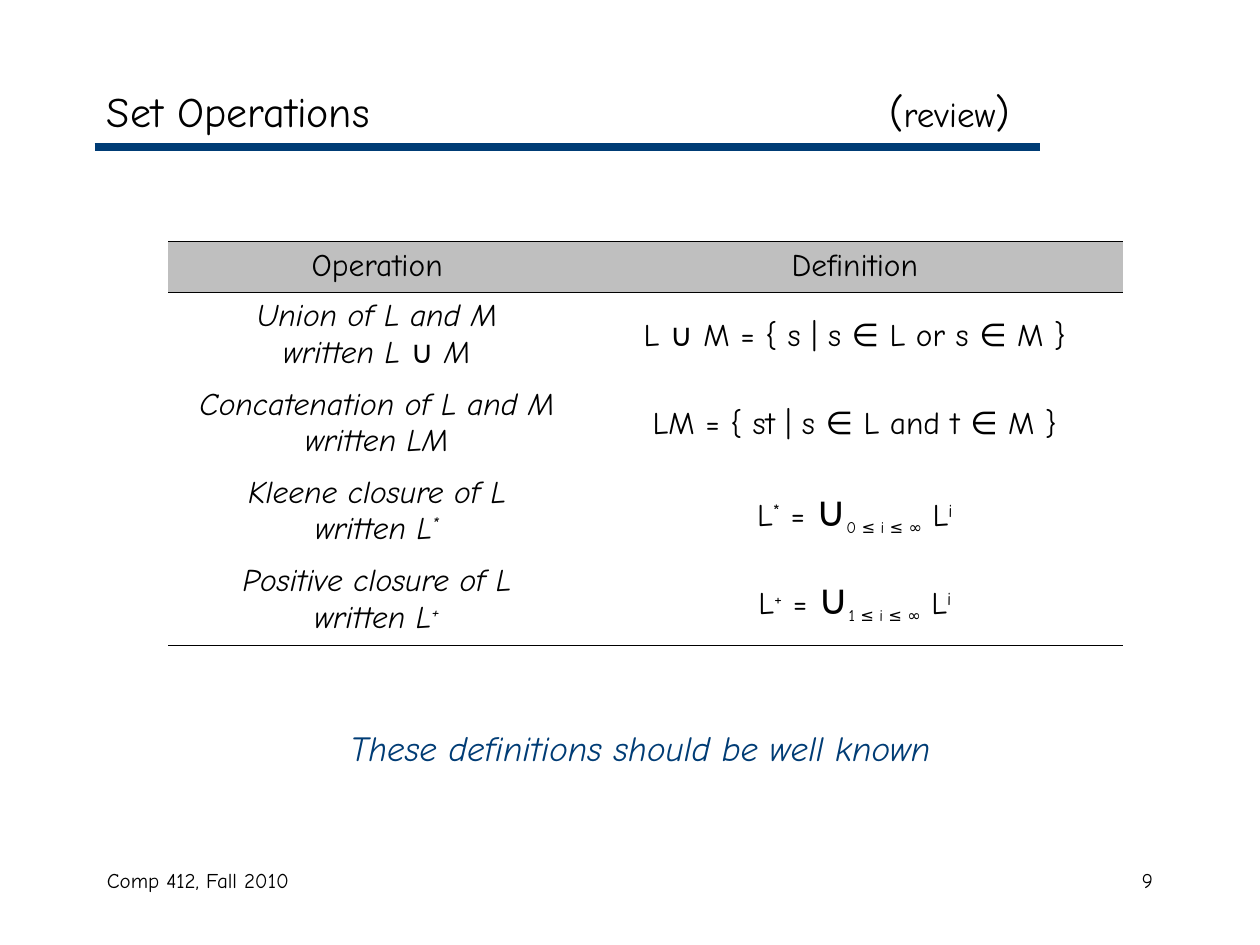
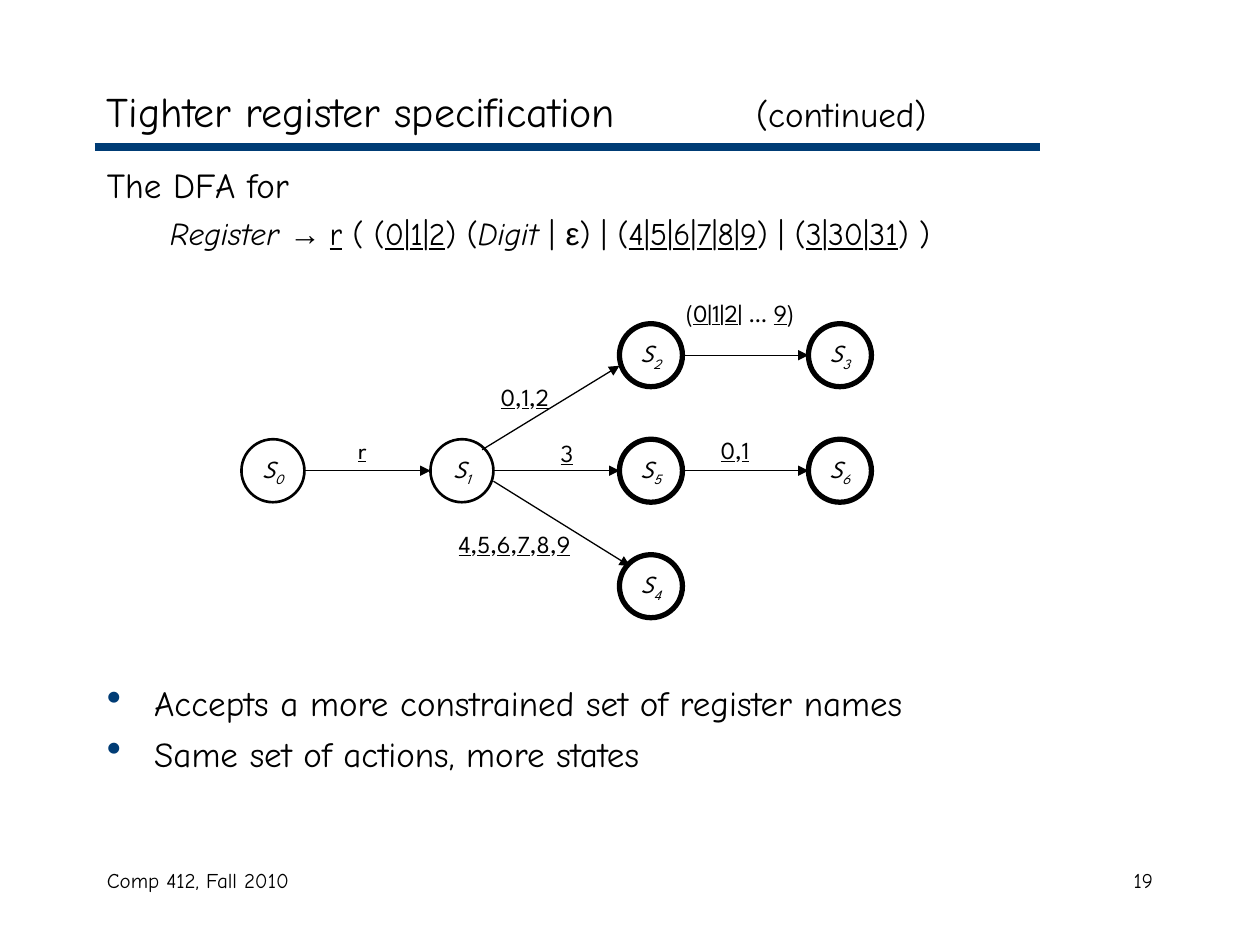
from itertools import groupby

from lxml import etree
from pptx import Presentation
from pptx.dml.color import RGBColor
from pptx.enum import shapes, text
from pptx.oxml import ns
from pptx.util import Pt

FONT, LABEL_FONT, SYMBOL_FONT = "Comic Neue", "League Spartan", "Arial"
BLACK, BLUE, GREY, WHITE = "000000", "003C75", "BFBFBF", "FFFFFF"
LEFT, CENTER, RIGHT = text.PP_ALIGN.LEFT, text.PP_ALIGN.CENTER, text.PP_ALIGN.RIGHT
TOP, MIDDLE = text.MSO_ANCHOR.TOP, text.MSO_ANCHOR.MIDDLE
FOOTER = "Comp 412, Fall 2010"


def rgb(hex_color):
    return RGBColor.from_string(hex_color)


def sub(parent, tag, **attrs):
    """Append a DrawingML element."""
    el = etree.SubElement(parent, ns.qn("a:" + tag))
    for key, value in attrs.items():
        el.set(key, str(value))
    return el


def add_runs(p, runs, **defaults):
    """Add runs given as (text, style changes) or as plain strings."""
    for item in runs:
        words, changes = (item, {}) if isinstance(item, str) else item
        style = {"font": FONT, "size": 18, "color": BLACK, **defaults, **changes}
        r = p.add_run()
        r.text = words
        r.font.name = style["font"]
        r.font.size = Pt(style["size"])
        r.font.color.rgb = rgb(style["color"])
        r.font.italic = style.get("italic", False)
        r.font.underline = style.get("underline", False)
        if "base" in style:
            r.font._element.set("baseline", str(style["base"] * 1000))


def underlined(expression):
    """Split an expression so that its letters and digits are underlined."""
    return [("".join(chars), {"underline": symbol})
            for symbol, chars in groupby(expression, str.isalnum)]


def add_text(slide, box, runs, align=LEFT, anchor=TOP, **style):
    sp = slide.shapes.add_textbox(*map(Pt, box))
    tf = sp.text_frame
    tf.word_wrap = True
    tf.vertical_anchor = anchor
    p = tf.paragraphs[0]
    p.alignment = align
    add_runs(p, runs, **style)
    return tf


def add_line(slide, start, end, color, width, arrow=False):
    line = slide.shapes.add_connector(
        shapes.MSO_CONNECTOR.STRAIGHT, *map(Pt, (*start, *end)))
    line.line.color.rgb = rgb(color)
    line.line.width = Pt(width)
    if arrow:
        sub(line.line._get_or_add_ln(), "tailEnd", type="triangle")
    sub(line._element.spPr, "effectLst")


def add_frame(prs, number, title, remark, remark_tab):
    """Start a slide with its title, rule and footer."""
    slide = prs.slides.add_slide(prs.slide_layouts[6])
    add_line(slide, (54, 84), (594, 84), BLUE, 4.5)
    add_text(slide, (54, 492, 294, 36), [FOOTER], size=12)
    add_text(slide, (516, 492, 150, 36), [str(number)], RIGHT, size=12)
    tf = add_text(slide, (54, 42, 612, 42), [title + "\t", *remark],
                  anchor=MIDDLE, size=24)
    tabs = sub(tf.paragraphs[0]._p.get_or_add_pPr(), "tabLst")
    sub(tabs, "tab", pos=Pt(remark_tab), algn="l")
    return slide


def closure(sign, first):
    """Runs defining a closure as the union of powers from first upwards."""
    return ["L", (sign, {"base": 30}), " = ", ("∪", {"size": 24}),
            (f"{first} ≤ i ≤ ∞", {"size": 16, "base": -25}),
            " L", ("i", {"base": 30})]


OPERATIONS = [
    ("Union of L and M", ["written L ∪ M"], ["L ∪ M = { s | s ∈ L or s ∈ M }"]),
    ("Concatenation of L and M", ["written LM"], ["LM = { st | s ∈ L and t ∈ M }"]),
    ("Kleene closure of L", ["written L", ("*", {"base": 30})], closure("*", 0)),
    ("Positive closure of L", ["written L", ("+", {"base": 30})], closure("+", 1)),
]


def fill_cell(cell, lines, fill=WHITE, top=0, bottom=0, anchor=TOP, italic=False):
    """Write centred lines; top and bottom are border widths, 0 for none."""
    tcPr = cell._tc.get_or_add_tcPr()
    for side, width in (("L", 0), ("R", 0), ("T", top), ("B", bottom)):
        ln = sub(tcPr, "ln" + side, w=Pt(width))
        if width:
            sub(sub(ln, "solidFill"), "srgbClr", val=BLACK)
        else:
            sub(ln, "noFill")
    cell.fill.solid()
    cell.fill.fore_color.rgb = rgb(fill)
    cell.vertical_anchor = anchor
    tf = cell.text_frame
    for i, runs in enumerate(lines):
        p = tf.add_paragraph() if i else tf.paragraphs[0]
        p.alignment = CENTER
        add_runs(p, runs, italic=italic)


def add_operations_table(slide, box):
    left, top, width, height = box
    head_height, name_width = 29, 239
    row_height = (height - head_height) / len(OPERATIONS)
    table = slide.shapes.add_table(
        len(OPERATIONS) + 1, 2, *map(Pt, box)).table
    table.first_row = table.horz_banding = False
    table.columns[0].width = Pt(name_width)
    table.columns[1].width = Pt(width - name_width)
    table.rows[0].height = Pt(head_height)
    for col, heading in enumerate(("Operation", "Definition")):
        fill_cell(table.cell(0, col), [[heading]], GREY, top=0.75, bottom=0.45)
    for row, (name, notation, definition) in enumerate(OPERATIONS, 1):
        table.rows[row].height = Pt(row_height)
        edges = {"top": 0.45 if row == 1 else 0,
                 "bottom": 0.75 if row == len(OPERATIONS) else 0}
        fill_cell(table.cell(row, 0), [[name], notation], italic=True, **edges)
        fill_cell(table.cell(row, 1), [definition], anchor=MIDDLE, **edges)


def build_set_operations(prs):
    slide = add_frame(prs, 9, "Set Operations",
                      ["(", ("review", {"size": 20}), ")"], 447)
    add_operations_table(slide, (96, 138, 546, 231))
    add_text(slide, (60, 409, 612, 36), ["These definitions should be well known"],
             CENTER, MIDDLE, size=20, italic=True, color=BLUE)


DIAMETER, COLUMN_STEP, ROW_STEP, FIRST_ROW = 36, 108, 66, 18
RADIUS = DIAMETER / 2
# state: (column, row, accepting)
STATES = {0: (0, 1, False), 1: (1, 1, False), 2: (2, 0, True), 3: (3, 0, True),
          4: (2, 2, True), 5: (2, 1, True), 6: (3, 1, True)}
# from, to, offsets of both ends from the state centres
EAST, WEST = (RADIUS, 0), (-RADIUS, 0)
TRANSITIONS = [(0, 1, EAST, WEST), (1, 5, EAST, WEST), (5, 6, EAST, WEST),
               (2, 3, EAST, WEST), (1, 2, (11.5, -12), (-18, 6)),
               (1, 4, (18, 6), (-12, -11.5))]
# left, top, width, symbols
LABELS = [(57, 78, 24, "r"), (132, 48, 60, "0,1,2"), (174, 80, 24, "3"),
          (252, 78, 60, "0,1"), (102, 132, 108, "4,5,6,7,8,9"),
          (234, 0, 102, "(0|1|2| … 9)")]


def add_state(slide, number, center, accepting):
    x, y = center
    sp = slide.shapes.add_shape(shapes.MSO_SHAPE.OVAL, Pt(x - RADIUS),
                                Pt(y - RADIUS), Pt(DIAMETER), Pt(DIAMETER))
    sp.shadow.inherit = False
    sp.fill.background()
    sp.line.color.rgb = rgb(BLACK)
    sp.line.width = Pt(3 if accepting else 1.5)
    tf = sp.text_frame
    tf.word_wrap = False
    tf.vertical_anchor = MIDDLE
    p = tf.paragraphs[0]
    p.alignment = CENTER
    add_runs(p, ["S", (str(number), {"base": -25})],
             font=LABEL_FONT, size=14, italic=True)


def add_automaton(slide, left, top):
    centers = {}
    for number, (col, row, accepting) in STATES.items():
        centers[number] = (left + col * COLUMN_STEP + RADIUS,
                           top + FIRST_ROW + row * ROW_STEP + RADIUS)
        add_state(slide, number, centers[number], accepting)
    for source, target, *offsets in TRANSITIONS:
        start, end = [(centers[n][0] + dx, centers[n][1] + dy)
                      for n, (dx, dy) in zip((source, target), offsets)]
        add_line(slide, start, end, BLACK, 0.75, arrow=True)
    for x, y, width, symbols in LABELS:
        add_text(slide, (left + x, top + y, width, 24), underlined(symbols),
                 CENTER, font=LABEL_FONT, size=14)


def add_specification(slide, box):
    tf = add_text(slide, box, ["The DFA for"], size=20)
    p = tf.add_paragraph()
    p.space_before = Pt(4.5)
    p._p.get_or_add_pPr().set("marL", str(Pt(58)))
    p._p.get_or_add_pPr().set("indent", str(Pt(-22)))
    add_runs(p, [("Register ", {"italic": True}),
                 ("→ ", {"font": SYMBOL_FONT, "italic": True}),
                 *underlined("r ( (0|1|2) ("), ("Digit", {"italic": True}), " | ",
                 ("ε", {"font": SYMBOL_FONT}),
                 *underlined(") | (4|5|6|7|8|9) | (3|30|31) )")])


def add_bullets(slide, box, items):
    tf = add_text(slide, box, [])
    for i, item in enumerate(items):
        p = tf.add_paragraph() if i else tf.paragraphs[0]
        pPr = p._p.get_or_add_pPr()
        pPr.set("marL", str(Pt(27)))
        pPr.set("indent", str(Pt(-27)))
        sub(sub(pPr, "buClr"), "srgbClr", val=BLUE)
        sub(pPr, "buSzPct", val=120000)
        sub(pPr, "buChar", char="•")
        if i:
            p.space_before = Pt(5)
        add_runs(p, [item], size=20)


def build_register_dfa(prs):
    slide = add_frame(prs, 19, "Tighter register specification",
                      [("(continued)", {"size": 20})], 371)
    add_specification(slide, (54, 90, 612, 60))
    add_automaton(slide, 138, 167)
    add_bullets(slide, (54, 386, 612, 66),
                ["Accepts a more constrained set of register names",
                 "Same set of actions, more states"])


def main():
    prs = Presentation()
    prs.slide_width, prs.slide_height = Pt(720), Pt(540)
    build_set_operations(prs)
    build_register_dfa(prs)
    prs.save("out.pptx")


if __name__ == "__main__":
    main()
